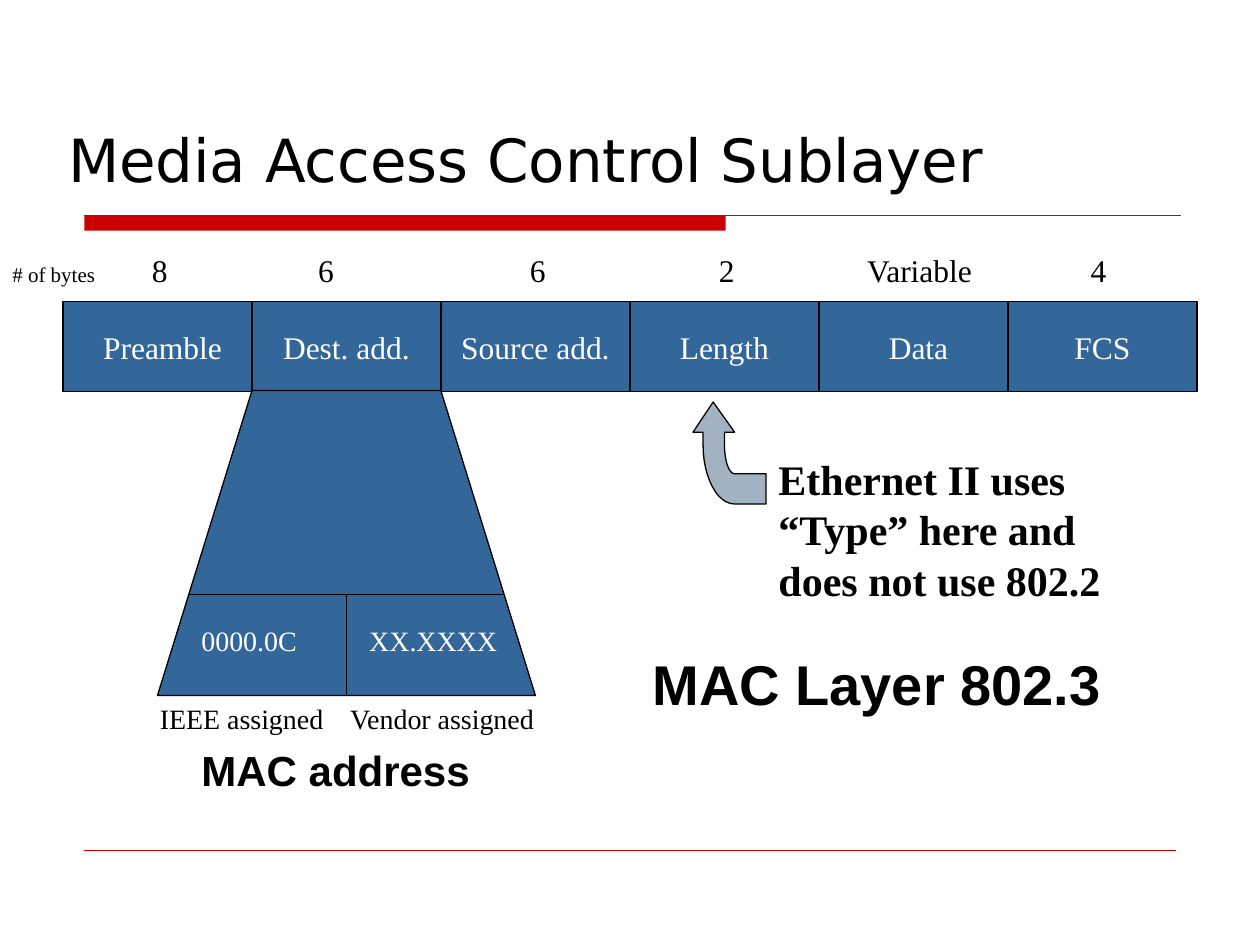
from dataclasses import dataclass
from math import cos, pi, sin

from lxml import etree
from pptx import Presentation
from pptx.dml.color import RGBColor
from pptx.enum.shapes import MSO_CONNECTOR, MSO_SHAPE
from pptx.enum.text import MSO_ANCHOR, PP_ALIGN
from pptx.oxml.ns import qn
from pptx.util import Inches, Pt

STRAIGHT = MSO_CONNECTOR.STRAIGHT
RECTANGLE = MSO_SHAPE.RECTANGLE
TRAPEZOID = MSO_SHAPE.TRAPEZOID
MIDDLE = MSO_ANCHOR.MIDDLE
BOTTOM = MSO_ANCHOR.BOTTOM
LEFT = PP_ALIGN.LEFT
CENTER = PP_ALIGN.CENTER


@dataclass(frozen=True)
class Theme:
    red: RGBColor = RGBColor(0xCC, 0x00, 0x00)
    blue: RGBColor = RGBColor(0x33, 0x66, 0x99)
    gray: RGBColor = RGBColor(0xA3, 0xB2, 0xC1)
    black: RGBColor = RGBColor(0x00, 0x00, 0x00)
    white: RGBColor = RGBColor(0xFF, 0xFF, 0xFF)
    title_font: str = "DejaVu Sans"
    serif: str = "Times New Roman"
    sans: str = "Arial"
    title: int = 34
    heading: int = 32
    note: int = 24
    field: int = 18
    address: int = 16
    unit: int = 12


THEME = Theme()
FIELDS = [("Preamble", 1.58), ("Dest. add.", 1.5), ("Source add.", 1.5),
          ("Length", 1.5), ("Data", 1.58), ("FCS", 1.5)]
FIELD_STEP = 1.5
BYTE_COUNTS = ["8", "6", "6", "2", "Variable", "4"]
BYTE_TABS = [1.17, 2.49, 4.17, 5.67, 7.2, 8.62]


def style(paragraph, font, size, color, bold=False):
    paragraph.font.name = font
    paragraph.font.size = Pt(size)
    paragraph.font.color.rgb = color
    paragraph.font.bold = bold


def add_center_tabs(paragraph, positions):
    properties = paragraph._p.get_or_add_pPr()
    tabs = etree.SubElement(properties, qn("a:tabLst"))
    for position in positions:
        etree.SubElement(tabs, qn("a:tab"), pos=str(Inches(position)), algn="ctr")


def add_text(page, box, text, size, font=THEME.serif, color=THEME.black,
             bold=False, tabs=()):
    shape = page.shapes.add_textbox(*map(Inches, box))
    shape.text_frame.word_wrap = True
    paragraph = shape.text_frame.paragraphs[0]
    paragraph.text = text
    if tabs:
        add_center_tabs(paragraph, tabs)
    style(paragraph, font, size, color, bold)
    return paragraph


def paint(shape, fill, line=THEME.black):
    shape.shadow.inherit = False
    shape.fill.solid()
    shape.fill.fore_color.rgb = fill
    shape.line.color.rgb = line
    shape.line.width = Pt(0.75)


def add_line(page, start, end, color=THEME.black, width=0.75):
    line = page.shapes.add_connector(STRAIGHT, *map(Inches, (*start, *end)))
    line.line.color.rgb = color
    line.line.width = Pt(width)
    etree.SubElement(line._element.spPr, qn("a:effectLst"))


def add_title(page, box):
    title = page.shapes.title
    title.left, title.top, title.width, title.height = map(Inches, box)
    title.text_frame.text = "Media Access Control Sublayer"
    title.text_frame.vertical_anchor = BOTTOM
    paragraph = title.text_frame.paragraphs[0]
    paragraph.alignment = LEFT
    style(paragraph, THEME.title_font, THEME.title, THEME.black)


def add_rules(page, box):
    left, top, width, height = box
    bar = page.shapes.add_shape(RECTANGLE, *map(Inches, (left, top, 5.09, 0.12)))
    paint(bar, THEME.red)
    bar.line.fill.background()
    add_line(page, (left, top), (left + width, top), THEME.red)
    bottom = top + height
    add_line(page, (left, bottom), (9.33, bottom), THEME.red, 0.25)


def add_frame_fields(page, box):
    left, top, _, height = box
    for index, (name, width) in enumerate(FIELDS):
        cell_box = (left + index * FIELD_STEP, top, width, height)
        cell = page.shapes.add_shape(RECTANGLE, *map(Inches, cell_box))
        paint(cell, THEME.blue)
        cell.text_frame.word_wrap = False
        cell.text_frame.vertical_anchor = MIDDLE
        paragraph = cell.text_frame.paragraphs[0]
        paragraph.text = name
        paragraph.alignment = CENTER
        style(paragraph, THEME.serif, THEME.field, THEME.white)


def add_byte_counts(page, box):
    paragraph = add_text(page, box, "", THEME.field, tabs=BYTE_TABS)
    unit = paragraph.add_run()
    unit.text = "# of bytes"
    unit.font.size = Pt(THEME.unit)
    paragraph.add_run().text = "".join("\t" + count for count in BYTE_COUNTS)


def quarter_curve(center, radii, start, end, steps=12):
    angles = [start + (end - start) * step / steps for step in range(steps + 1)]
    return [(center[0] + radii[0] * cos(angle), center[1] + radii[1] * sin(angle))
            for angle in angles]


def add_type_arrow(page, box):
    left, top, width, height = box
    right, bottom = left + width, top + height
    center = (left + 0.33, top + 0.34)
    neck = top + 0.24
    tip = (left + 0.16, top)
    points = [(left, neck), (left + 0.08, neck),
              *quarter_curve(center, (0.25, 0.47), pi, pi / 2),
              (right, bottom), (right, bottom - 0.24),
              *quarter_curve(center, (0.08, 0.23), pi / 2, pi),
              (left + 0.25, neck), (left + 0.33, neck)]
    builder = page.shapes.build_freeform(*map(Inches, tip), scale=1.0)
    builder.add_line_segments([(Inches(x), Inches(y)) for x, y in points], close=True)
    paint(builder.convert_to_shape(), THEME.gray)


def add_address_detail(page, box):
    left, top, width, height = box
    bottom, middle, divider = top + height, left + width / 2, top + 1.62
    fan = page.shapes.add_shape(TRAPEZOID, *map(Inches, box))
    fan.adjustments[0] = 0.31
    paint(fan, THEME.blue)
    add_line(page, (left + 0.25, divider), (left + width - 0.25, divider))
    add_line(page, (middle, divider), (middle, bottom))
    add_text(page, (left + 0.25, divider + 0.18, 2.6, 0.37), "\t0000.0C\tXX.XXXX",
             THEME.address, color=THEME.white, tabs=(0.29, 1.84))
    add_text(page, (left - 0.08, bottom, 3.42, 0.37),
             "\tIEEE assigned\tVendor assigned", THEME.address, tabs=(0.64, 2.24))
    add_text(page, (left + 0.25, bottom + 0.34, 3.33, 0.5), "MAC address",
             THEME.note, THEME.sans, bold=True)


def add_notes_beside(page, box):
    left, top, width, _ = box
    add_text(page, (left + 1, top, 2.92, 1.3),
             "Ethernet II uses “Type” here and does not use 802.2",
             THEME.note, bold=True)
    add_text(page, (left, top + 1.56, width, 0.64), "MAC Layer 802.3",
             THEME.heading, THEME.sans, bold=True)


def main():
    deck = Presentation()
    deck.slide_width, deck.slide_height = Inches(10), Inches(7.5)
    page = deck.slides.add_slide(deck.slide_layouts[5])
    add_rules(page, (0.67, 1.71, 8.7, 5.04))
    add_title(page, (0.44, 0.84, 9.56, 0.75))
    add_frame_fields(page, (0.5, 2.39, 9, 0.72))
    add_byte_counts(page, (0, 1.94, 9.67, 0.4))
    add_type_arrow(page, (5.5, 3.19, 0.58, 0.81))
    add_address_detail(page, (1.25, 3.1, 3, 2.42))
    add_notes_beside(page, (5.08, 3.55, 4.33, 2.2))
    deck.save("out.pptx")


if __name__ == "__main__":
    main()
